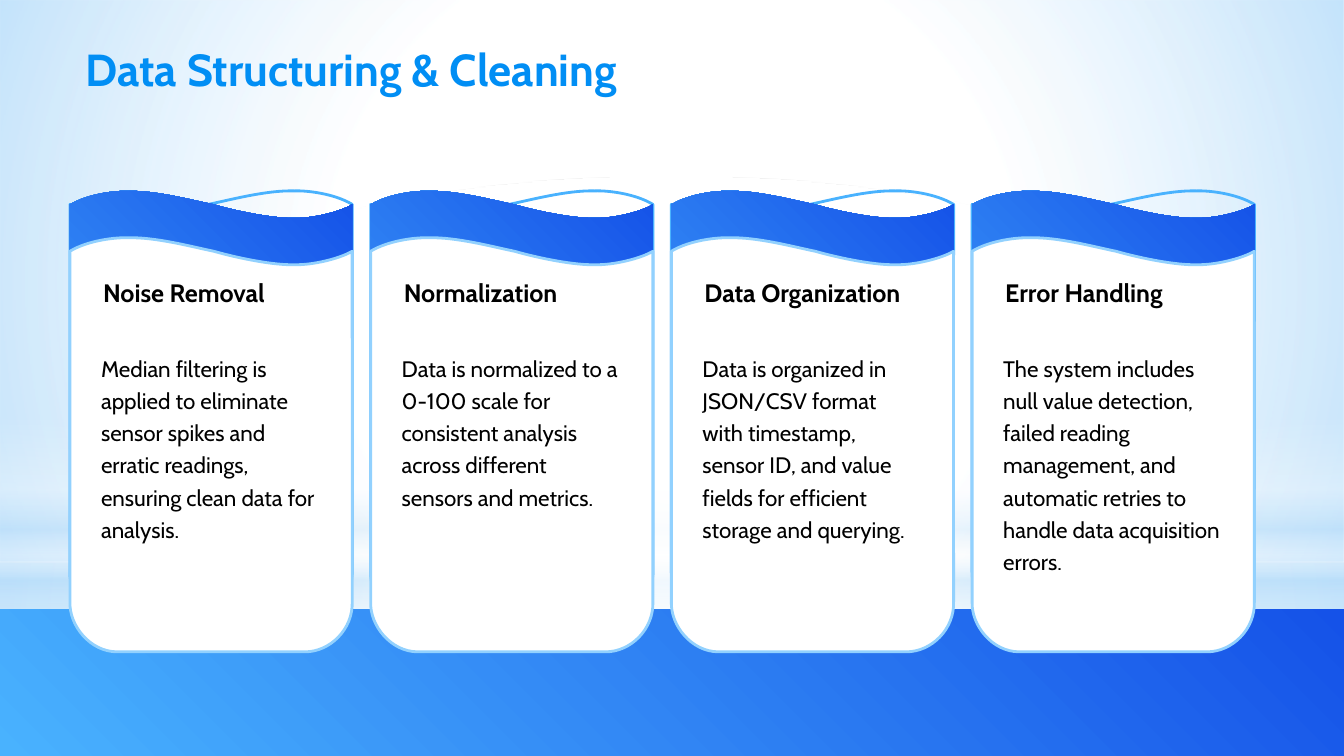
from dataclasses import dataclass

from lxml.etree import Element, SubElement
from pptx import Presentation
from pptx.dml.color import RGBColor
from pptx.enum.shapes import MSO_SHAPE
from pptx.enum.text import MSO_AUTO_SIZE
from pptx.oxml import parse_xml
from pptx.oxml.ns import nsdecls, qn
from pptx.util import Pt

FONT = "Cabin"
BLACK, WHITE, TITLE_BLUE = "000000", "FFFFFF", "018EF4"
SKY, LIGHT_SKY, ROYAL, PALE = "49B2FE", "92D1FE", "1552E8", "B4DCFA"
SLIDE_W, SLIDE_H = 720, 405
CARD_LEFT, CARD_W, CARD_PITCH = 37.5, 151.2, 161.1
CORNER_W, CORNER_H = 25.2, 27
CREST = -7.2

WAVE = [
    [(10, -6), (25, -7.5), (31, CREST)],
    [(46, -7.7), (66, -2.2), (77, 0)],
    [(91, 4), (110, 7.6), (120, 7.2)],
    [(130, 7.6), (145, 3.8), (CARD_W, 0)],
]


@dataclass(frozen=True)
class Gradient:
    """Stops of position, colour and opacity; radial when there is no angle."""
    stops: tuple
    angle: int | None = None


@dataclass(frozen=True)
class Block:
    """A plain background shape with a gradient."""
    kind: MSO_SHAPE
    top: float
    height: float
    gradient: Gradient


@dataclass(frozen=True)
class Card:
    """The wording of one card and its number of body lines."""
    heading: str
    body: str
    lines: int


BAND = Gradient(((0, SKY, 100), (100, ROYAL, 100)), 315)
BLOCKS = [
    Block(MSO_SHAPE.RECTANGLE, 301.5, 103.5,
          Gradient(((0, WHITE, 91), (37, WHITE, 76), (100, PALE, 79)))),
    Block(MSO_SHAPE.RECTANGLE, 0, 301.5,
          Gradient(((0, WHITE, 89), (48, WHITE, 62), (100, PALE, 79)))),
    Block(MSO_SHAPE.RECTANGLE, 222.5, 135,
          Gradient(((0, WHITE, 0), (29, WHITE, 30), (45, PALE, 40),
                    (55, WHITE, 26), (65, PALE, 60), (100, WHITE, 0)), 90)),
    Block(MSO_SHAPE.OVAL, 94.5, 301.5,
          Gradient(((0, WHITE, 100), (56, WHITE, 0)))),
    Block(MSO_SHAPE.RECTANGLE, 326.5, 78.5, BAND),
]
CARDS = [
    Card("Noise Removal", "Median filtering is applied to eliminate sensor spikes "
         "and erratic readings, ensuring clean data for analysis.", 6),
    Card("Normalization", "Data is normalized to a 0-100 scale for consistent "
         "analysis across different sensors and metrics.", 5),
    Card("Data Organization", "Data is organized in JSON/CSV format with timestamp, "
         "sensor ID, and value fields for efficient storage and querying.", 6),
    Card("Error Handling", "The system includes null value detection, failed reading "
         "management, and automatic retries to handle data acquisition errors.", 7),
]


def rgb(color: str) -> RGBColor:
    """Turn a hex string into a colour."""
    return RGBColor.from_string(color)


def fill_gradient(s, gradient: Gradient) -> None:
    """Give a shape a linear or radial gradient."""
    stops = "".join(
        f'<a:gs pos="{pos * 1000}"><a:srgbClr val="{rgb(color)}">'
        f'<a:alpha val="{opacity * 1000}"/></a:srgbClr></a:gs>'
        for pos, color, opacity in gradient.stops)
    if gradient.angle is None:
        direction = ('<a:path path="circle"><a:fillToRect l="50000" t="50000" '
                     'r="50000" b="50000"/></a:path>')
    else:
        direction = f'<a:lin ang="{gradient.angle * 60000}" scaled="0"/>'
    s.fill.background()
    props = s._element.spPr
    props.replace(props.find(qn("a:noFill")), parse_xml(
        f'<a:gradFill {nsdecls("a")} rotWithShape="1"><a:gsLst>{stops}</a:gsLst>'
        f'{direction}</a:gradFill>'))


def paint(s, fill: Gradient | str | None, line: str | None = None) -> None:
    """Set the fill and line of a shape and drop its shadow."""
    s.shadow.inherit = False
    if isinstance(fill, Gradient):
        fill_gradient(s, fill)
    elif fill:
        s.fill.solid()
        s.fill.fore_color.rgb = rgb(fill)
    else:
        s.fill.background()
    if line:
        s.line.color.rgb = rgb(line)
        s.line.width = Pt(1.5)
    else:
        s.line.fill.background()


def panel_segments(height: float, mirrored: bool) -> list:
    """List the outline after its start, one point per line and three per curve."""
    segments = [
        *WAVE,
        [(CARD_W, height - CORNER_H)],
        [(CARD_W + 0.6, height - 12), (CARD_W - 12, height), (CARD_W - CORNER_W, height)],
        [(CORNER_W, height)],
        [(11, height), (-0.6, height - 14), (0, height - CORNER_H)],
        [(0, 0)],
    ]
    if mirrored:
        return [[(CARD_W - x, y) for x, y in segment] for segment in segments]
    return segments


def wave_panel(shapes, left: float, top: float, height: float, mirrored: bool = False):
    """Draw a panel with a wavy top and round lower corners."""
    segments = panel_segments(height, mirrored)
    start_x = left + (CARD_W if mirrored else 0)
    builder = shapes.build_freeform(Pt(start_x), Pt(top))
    builder.add_line_segments(
        [(Pt(left + x), Pt(top + y)) for x, y in (seg[-1] for seg in segments)])
    s = builder.convert_to_shape()
    for step, segment in zip(list(s._element.iter(qn("a:lnTo"))), segments):
        if len(segment) == 3:
            curve = Element(qn("a:cubicBezTo"))
            for x, y in segment:
                SubElement(curve, qn("a:pt"), x=str(Pt(x)), y=str(Pt(y - CREST)))
            step.getparent().replace(step, curve)
    return s


def add_text(shapes, text: str, left: float, top: float, width: float, height: float,
             size: float, color: str = BLACK, bold: bool = False,
             spacing: float = 1.0) -> None:
    """Add a wrapped text box that grows with its text."""
    tf = shapes.add_textbox(Pt(left), Pt(top), Pt(width), Pt(height)).text_frame
    tf.word_wrap = True
    tf.auto_size = MSO_AUTO_SIZE.SHAPE_TO_FIT_TEXT
    tf.margin_left = tf.margin_right = Pt(5.4)
    tf.margin_top = tf.margin_bottom = Pt(2.7)
    tf.text = text
    p = tf.paragraphs[0]
    p.line_spacing = spacing
    r = p.runs[0]
    r.font.name, r.font.size, r.font.bold = FONT, Pt(size), bold
    r.font.color.rgb = rgb(color)


def add_block(shapes, block: Block) -> None:
    """Draw a background shape across the slide."""
    s = shapes.add_shape(block.kind, 0, Pt(block.top), Pt(SLIDE_W), Pt(block.height))
    paint(s, block.gradient)


def add_card(shapes, card: Card, left: float) -> None:
    """Draw one card with its waves, heading and body."""
    paint(wave_panel(shapes, left, 109.5, 223.2, mirrored=True), None, SKY)
    paint(wave_panel(shapes, left, 109.5, 223.2), BAND)
    paint(wave_panel(shapes, left, 134.6, 214.6), WHITE, LIGHT_SKY)
    add_text(shapes, card.heading, left + 12.3, 145.8, 126, 21.6, 13.5, bold=True)
    add_text(shapes, card.body, left + 11.2, 184.6, 128.2, 5.4 + 17.2 * card.lines,
             12, spacing=1.2)


def main() -> None:
    """Build and save the slide."""
    prs = Presentation()
    prs.slide_width, prs.slide_height = Pt(SLIDE_W), Pt(SLIDE_H)
    shapes = prs.slides.add_slide(prs.slide_layouts[6]).shapes
    for block in BLOCKS:
        add_block(shapes, block)
    add_text(shapes, "Data Structuring & Cleaning", 40.5, 19.5, 579, 34.5, 24,
             TITLE_BLUE, bold=True)
    for i, card in enumerate(CARDS):
        add_card(shapes, card, CARD_LEFT + i * CARD_PITCH)
    prs.save("out.pptx")


if __name__ == "__main__":
    main()
